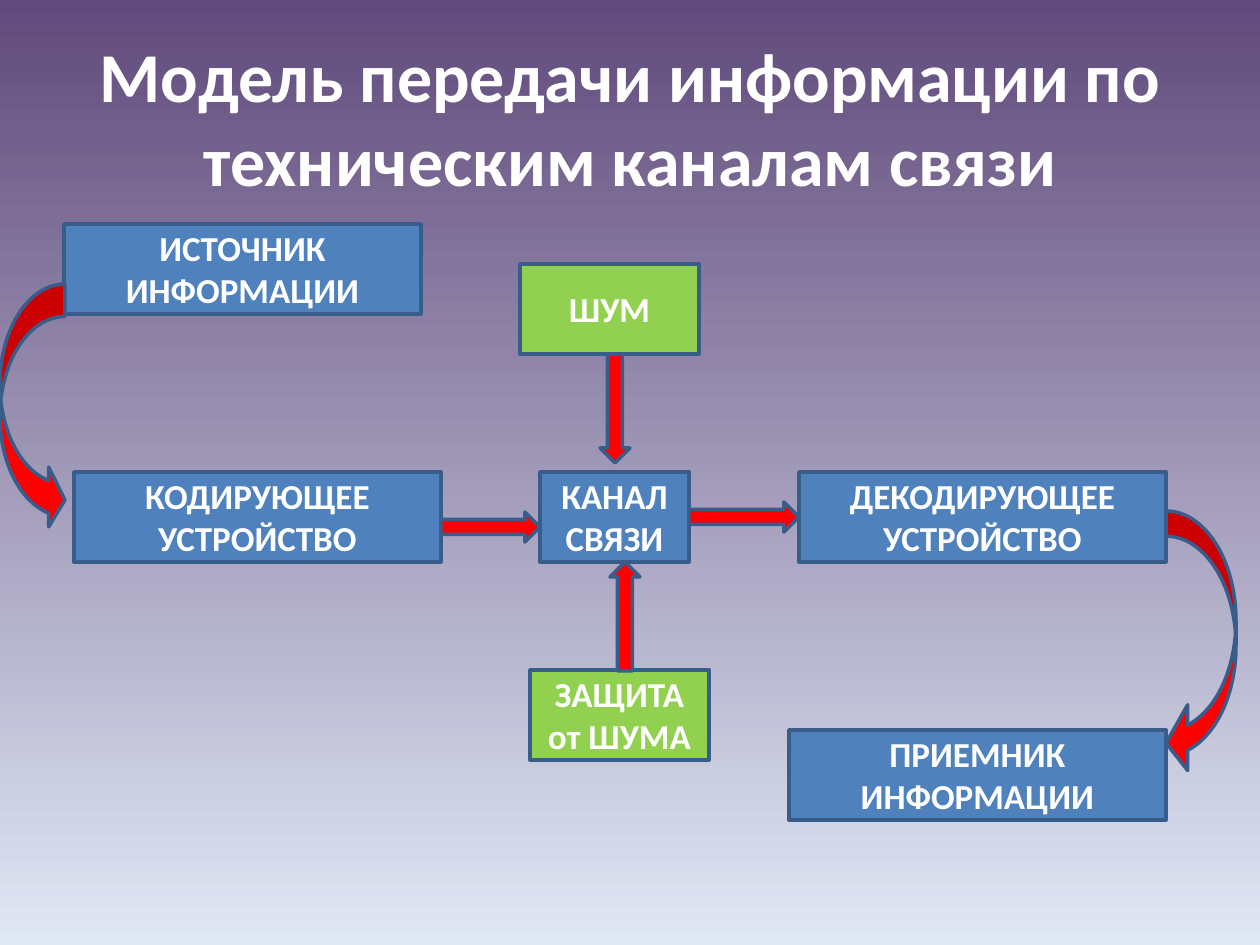
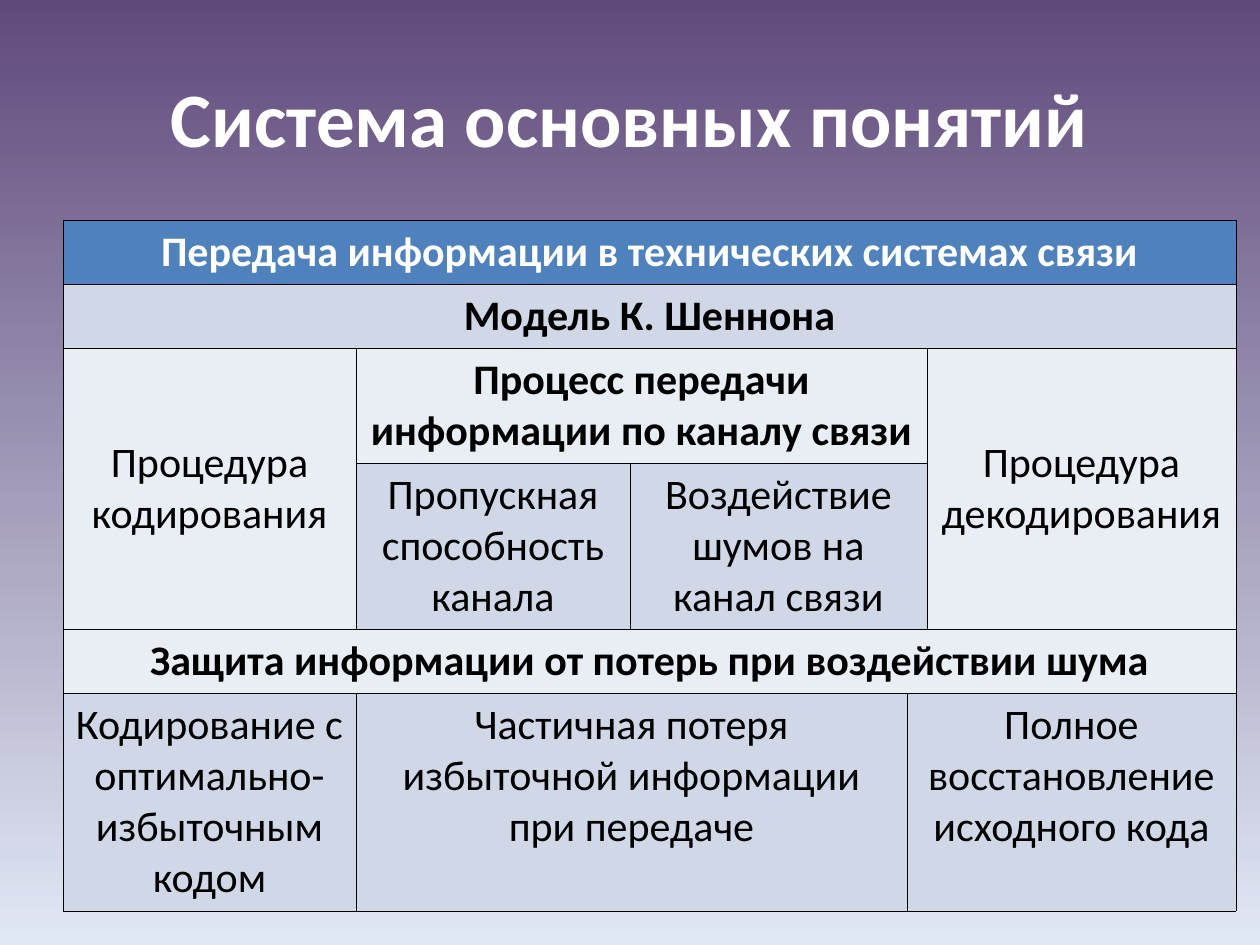
from lxml.etree import SubElement
from pptx import Presentation
from pptx.dml.color import RGBColor
from pptx.enum.shapes import MSO_SHAPE as Shape
from pptx.enum.text import MSO_ANCHOR as Anchor, PP_ALIGN as Align
from pptx.oxml.ns import qn
from pptx.util import Emu, Pt

PX = 914400 / 126
COLORS = {
    "sky_top": "604A7B", "sky_bottom": "E1E8F5", "white": "FFFFFF", "black": "000000",
    "blue": "4F81BD", "green": "92D050", "red": "FF0000", "outline": "385D8A",
    "band_dark": "D0D8E8", "band_light": "E9EDF4",
}


def px(value):
    return Emu(round(value * PX))


def color(name):
    return RGBColor.from_string(COLORS[name])


class Deck:
    font = "Calibri"

    def __init__(self):
        self.prs = Presentation()
        self.prs.slide_width, self.prs.slide_height = px(1260), px(945)
        self.slide = None

    def add_slide(self, title, size):
        self.slide = self.prs.slides.add_slide(self.prs.slide_layouts[6])
        sky = self.slide.background.fill
        sky.gradient()
        sky.gradient_angle = 270
        for stop, name in zip(sky.gradient_stops, ("sky_top", "sky_bottom")):
            stop.color.rgb = color(name)
        heading = self.slide.shapes.add_textbox(px(63), px(38), px(1134), px(157))
        self.label(heading.text_frame, title, size)

    def label(self, frame, text, size):
        frame.word_wrap = True
        frame.vertical_anchor = Anchor.MIDDLE
        self.style(frame.paragraphs[0], text, size, "white", True)

    def style(self, paragraph, text, size, ink, bold):
        paragraph.text = text
        paragraph.alignment = Align.CENTER
        font = paragraph.font
        font.name, font.size, font.bold = self.font, Pt(size), bold
        font.color.rgb = color(ink)

    def shape(self, kind, place, fill, adjustments=()):
        shape = self.slide.shapes.add_shape(kind, *map(px, place))
        shape.shadow.inherit = False
        shape.fill.solid()
        shape.fill.fore_color.rgb = color(fill)
        shape.line.color.rgb = color("outline")
        shape.line.width = Pt(2)
        for index, value in enumerate(adjustments):
            shape.adjustments[index] = value
        return shape

    def block(self, text, left, top, width, fill="blue"):
        block = self.shape(Shape.RECTANGLE, (left, top, width, 90), fill)
        self.label(block.text_frame, text, 20)

    def arrow(self, kind, place, adjustments=(0.5, 0.5)):
        self.shape(kind, place, "red", adjustments)

    def border(self, cell):
        properties = cell._tc.get_or_add_tcPr()
        for side in ("lnL", "lnR", "lnT", "lnB"):
            edge = SubElement(properties, qn(f"a:{side}"), w=str(int(Pt(0.45))))
            fill = SubElement(edge, qn("a:solidFill"))
            SubElement(fill, qn("a:srgbClr"), val=COLORS["black"])

    def table(self, left, top, widths, heights, entries):
        table = self.slide.shapes.add_table(
            len(heights), len(widths), px(left), px(top),
            px(sum(widths)), px(sum(heights))).table
        for column, width in zip(table.columns, widths):
            column.width = px(width)
        for row, height in zip(table.rows, heights):
            row.height = px(height)
        for cell in table.iter_cells():
            self.border(cell)
        for row, col, row_span, col_span, text, fill, bold in entries:
            cell = table.cell(row, col)
            if row_span * col_span > 1:
                cell.merge(table.cell(row + row_span - 1, col + col_span - 1))
            cell.fill.solid()
            cell.fill.fore_color.rgb = color(fill)
            cell.vertical_anchor = Anchor.MIDDLE if row_span > 1 else Anchor.TOP
            ink = "white" if row == 0 else "black"
            self.style(cell.text_frame.paragraphs[0], text, 24, ink, bold)


def channel_model(deck):
    deck.add_slide("Модель передачи информации по техническим каналам связи", 40)
    deck.block("ШУМ", 520, 264, 179, "green")
    deck.block("КАНАЛ СВЯЗИ", 540, 472, 149)
    deck.block("ЗАЩИТА от ШУМА", 530, 670, 179, "green")
    deck.block("КОДИРУЮЩЕЕ УСТРОЙСТВО", 74, 472, 367)
    deck.block("ПРИЕМНИК ИНФОРМАЦИИ", 789, 730, 377)
    deck.block("ДЕКОДИРУЮЩЕЕ УСТРОЙСТВО", 799, 472, 367)
    deck.block("ИСТОЧНИК ИНФОРМАЦИИ", 64, 224, 357)

    deck.arrow(Shape.CURVED_RIGHT_ARROW, (0, 284, 65, 246), (0.5, 0.92, 0.25))
    deck.arrow(Shape.CURVED_LEFT_ARROW, (1166, 511, 70, 265), (0.36, 0.94, 0.31))
    deck.arrow(Shape.DOWN_ARROW, (600, 354, 30, 109))
    deck.arrow(Shape.RIGHT_ARROW, (441, 512, 99, 30))
    deck.arrow(Shape.RIGHT_ARROW, (689, 502, 110, 30))
    deck.arrow(Shape.UP_ARROW, (610, 562, 30, 109))


def concept_system(deck):
    deck.add_slide("Система основных понятий", 44)
    deck.table(63, 220, (293, 274, 277, 20, 309), (64, 64, 115, 166, 64, 218), (
        (0, 0, 1, 5, "Передача информации в технических системах связи", "blue", True),
        (1, 0, 1, 5, "Модель К. Шеннона", "band_dark", True),
        (2, 0, 2, 1, "Процедура кодирования", "band_light", False),
        (2, 1, 1, 3, "Процесс передачи информации по каналу связи", "band_light", True),
        (2, 4, 2, 1, "Процедура декодирования", "band_light", False),
        (3, 1, 1, 1, "Пропускная способность канала", "band_dark", False),
        (3, 2, 1, 2, "Воздействие шумов на канал связи", "band_dark", False),
        (4, 0, 1, 5, "Защита информации от потерь при воздействии шума", "band_light", True),
        (5, 0, 1, 1, "Кодирование с оптимально-избыточным кодом", "band_dark", False),
        (5, 1, 1, 2, "Частичная потеря избыточной информации при передаче", "band_dark", False),
        (5, 3, 1, 2, "Полное восстановление исходного кода", "band_dark", False),
    ))


def main():
    deck = Deck()
    channel_model(deck)
    concept_system(deck)
    deck.prs.save("out.pptx")


if __name__ == "__main__":
    main()
